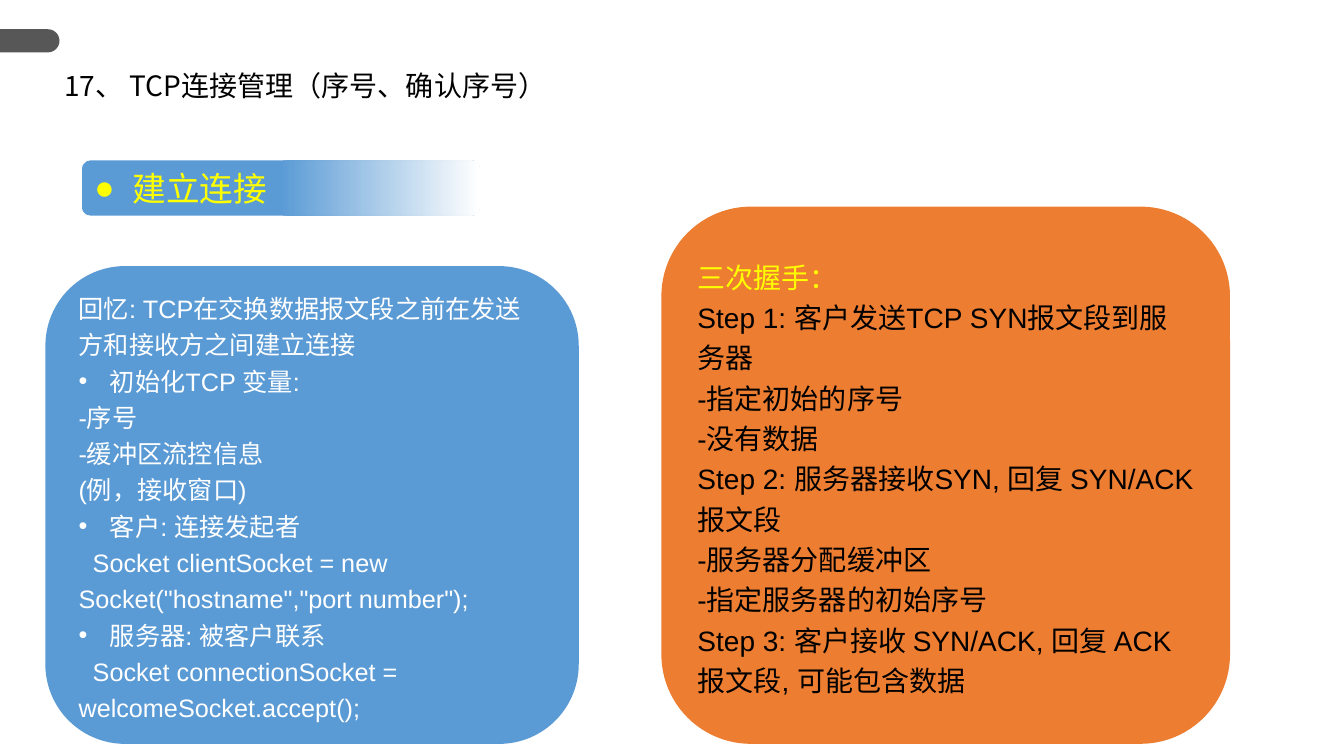
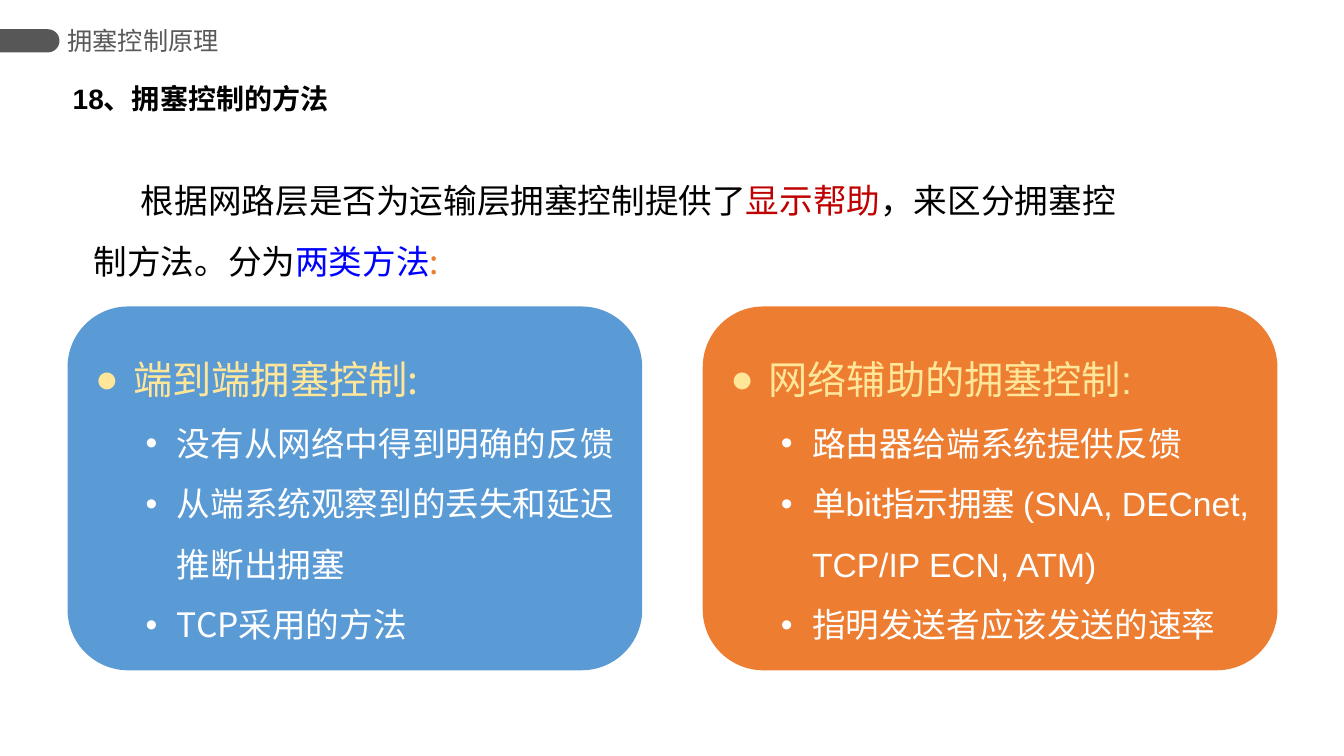
import pptx
import pptx.dml.color
import pptx.enum.dml
import pptx.enum.shapes
import pptx.enum.text
import pptx.oxml
import pptx.oxml.ns
import pptx.util
from pptx.util import Inches

COLORS = {
    "tab": "575757", "header": "595959", "blue": "5B9BD5", "orange": "ED7D31",
    "white": "FFFFFF", "black": "000000", "yellow": "FFFF00", "cream": "FFE699",
    "red": "C00000", "link_blue": "0000FF",
}
ARIAL = "Arial"
NOTO = "Noto Sans CJK SC"
SHAPES = pptx.enum.shapes.MSO_SHAPE
ANCHOR = pptx.enum.text.MSO_ANCHOR
ALIGN = pptx.enum.text.PP_ALIGN


def rgb(name):
    return pptx.dml.color.RGBColor.from_string(COLORS[name])


def style_span(span, size, color, font=ARIAL, bold=False):
    span.font.size = pptx.util.Pt(size)
    span.font.color.rgb = rgb(color)
    span.font.name = font
    span.font.bold = bold


def set_paragraph(para, bullet=None, margin=0, indent=0, spacing=1.0):
    """Set line spacing, margins in inches and an optional bullet character."""
    para.alignment = ALIGN.LEFT
    para.line_spacing = spacing
    properties = para._p.get_or_add_pPr()
    properties.set("marL", str(Inches(margin)))
    properties.set("indent", str(Inches(indent)))
    if bullet:
        mark = pptx.oxml.parse_xml(
            f'<a:buFont {pptx.oxml.ns.nsdecls("a")} typeface="Arial"/>')
        properties.append(mark)
        mark = pptx.oxml.parse_xml(
            f'<a:buChar {pptx.oxml.ns.nsdecls("a")} char="{bullet}"/>')
        properties.append(mark)


def add_paragraphs(frame, lines):
    """Fill a frame from (text, span style, paragraph layout) triples."""
    for index, (text, style, layout) in enumerate(lines):
        para = frame.add_paragraph() if index else frame.paragraphs[0]
        para.text = text
        set_paragraph(para, **layout)
        for span in para.runs:
            style_span(span, **style)


def add_filled_shape(page, kind, box, color):
    shape = page.shapes.add_shape(kind, *map(Inches, box))
    shape.shadow.inherit = False
    shape.fill.solid()
    shape.fill.fore_color.rgb = rgb(color)
    shape.line.fill.background()
    return shape


def add_panel(page, box, color, lines):
    panel = add_filled_shape(page, SHAPES.ROUNDED_RECTANGLE, box, color)
    frame = panel.text_frame
    frame.word_wrap = True
    frame.vertical_anchor = ANCHOR.MIDDLE
    add_paragraphs(frame, lines)
    return panel


def add_label(page, box, text, size, color="black", font=ARIAL, bold=False):
    label = page.shapes.add_textbox(*map(Inches, box))
    frame = label.text_frame
    frame.word_wrap = True
    para = frame.paragraphs[0]
    para.text = text
    for span in para.runs:
        style_span(span, size, color, font, bold)
    return label


def add_page(deck):
    """Add a blank page with the grey tab at its left edge."""
    page = deck.slides.add_slide(deck.slide_layouts[6])
    tab = add_filled_shape(page, SHAPES.ROUND_2_SAME_RECTANGLE,
                           (0.18, 0.11, 0.23, 0.59), "tab")
    tab.rotation = 90
    tab.adjustments[0] = 0.5
    return page


def add_section_banner(page, box, text):
    lines = [(text, dict(size=24, color="yellow"),
              dict(bullet="●", margin=0.38, indent=-0.38))]
    banner = add_panel(page, box, "blue", lines)
    banner.fill.gradient()
    banner.fill.gradient_angle = 0
    stops = banner.fill.gradient_stops
    for stop, position, color in zip(stops, (0.5, 1), ("blue", "white")):
        stop.position = position
        stop.color.rgb = rgb(color)


def add_recall_panel(page, box):
    plain = dict(spacing=1.2)
    code = dict(spacing=1.2, indent=0.14)
    bullet = dict(spacing=1.2, bullet="•", margin=0.31, indent=-0.31)
    content = [
        ("回忆: TCP在交换数据报文段之前在发送方和接收方之间建立连接", plain),
        ("初始化TCP 变量:", bullet),
        ("-序号", plain),
        ("-缓冲区流控信息", plain),
        ("(例，接收窗口)", plain),
        ("客户: 连接发起者", bullet),
        ('Socket clientSocket = new Socket("hostname","port number");', code),
        ("服务器: 被客户联系", bullet),
        ("Socket connectionSocket = welcomeSocket.accept();", code),
    ]
    style = dict(size=18, color="white")
    add_panel(page, box, "blue", [(text, style, layout) for text, layout in content])


def add_handshake_panel(page, box):
    steps = [
        "Step 1: 客户发送TCP SYN报文段到服务器",
        "-指定初始的序号",
        "-没有数据",
        "Step 2: 服务器接收SYN, 回复 SYN/ACK 报文段",
        "-服务器分配缓冲区",
        "-指定服务器的初始序号",
        "Step 3: 客户接收 SYN/ACK, 回复 ACK 报文段, 可能包含数据",
    ]
    layout = dict(spacing=1.2)
    lines = [("三次握手：", dict(size=20, color="yellow"), layout)]
    lines += [(step, dict(size=20, color="black"), layout) for step in steps]
    add_panel(page, box, "orange", lines)


def add_method_panel(page, box, color, heading, points, font):
    lines = [(heading, dict(size=28, color="cream", font=font),
              dict(bullet="●", margin=0.38, indent=-0.38, spacing=1.5))]
    lines += [(point, dict(size=24, color="white", font=font),
               dict(bullet="•", margin=0.81, indent=-0.31, spacing=1.5))
              for point in points]
    add_panel(page, box, color, lines)


def add_introduction(page, box):
    label = page.shapes.add_textbox(*map(Inches, box))
    label.text_frame.word_wrap = True
    para = label.text_frame.paragraphs[0]
    set_paragraph(para, indent=0.47, spacing=1.5)
    para.space_before = pptx.util.Pt(4.8)
    for text, color in [
        ("根据网路层是否为运输层拥塞控制提供了", "black"),
        ("显示帮助", "red"),
        ("，来区分拥塞控制方法。分为", "black"),
        ("两类方法", "link_blue"),
        (":", "orange"),
    ]:
        span = para.add_run()
        span.text = text
        style_span(span, 24, color, NOTO)


def build_connection_page(deck):
    page = add_page(deck)
    add_recall_panel(page, (0.45, 2.64, 5.29, 4.74))
    add_handshake_panel(page, (6.56, 2.05, 5.64, 5.33))
    add_section_banner(page, (0.81, 1.59, 3.95, 0.55), "建立连接")
    add_label(page, (0.54, 0.63, 11.44, 0.44),
              "17、 TCP连接管理（序号、确认序号）", 20, font=NOTO)


def build_congestion_page(deck):
    page = add_page(deck)
    header = add_label(page, (0.67, 0.19, 2.33, 0.42), "拥塞控制原理", 18, "header")
    header.text_frame.margin_left = header.text_frame.margin_right = 0
    header.text_frame.vertical_anchor = ANCHOR.MIDDLE
    title = add_label(page, (0.61, 0.76, 2.76, 0.44), "18、拥塞控制的方法", 20, bold=True)
    title.text_frame.paragraphs[0].alignment = ALIGN.CENTER
    add_introduction(page, (0.83, 1.54, 10.59, 0.6))
    methods = [
        ("blue", "端到端拥塞控制:", NOTO,
         ["没有从网络中得到明确的反馈", "从端系统观察到的丢失和延迟推断出拥塞", "TCP采用的方法"]),
        ("orange", "网络辅助的拥塞控制:", ARIAL,
         ["路由器给端系统提供反馈", "单bit指示拥塞 (SNA, DECnet, TCP/IP ECN, ATM)",
          "指明发送者应该发送的速率"]),
    ]
    for column, (color, heading, font, points) in enumerate(methods):
        add_method_panel(page, (0.67 + 6.3 * column, 3.04, 5.7, 3.61),
                         color, heading, points, font)


def main():
    deck = pptx.Presentation()
    deck.slide_width = Inches(13.33)
    deck.slide_height = Inches(7.5)
    build_connection_page(deck)
    build_congestion_page(deck)
    deck.save("out.pptx")


if __name__ == "__main__":
    main()
